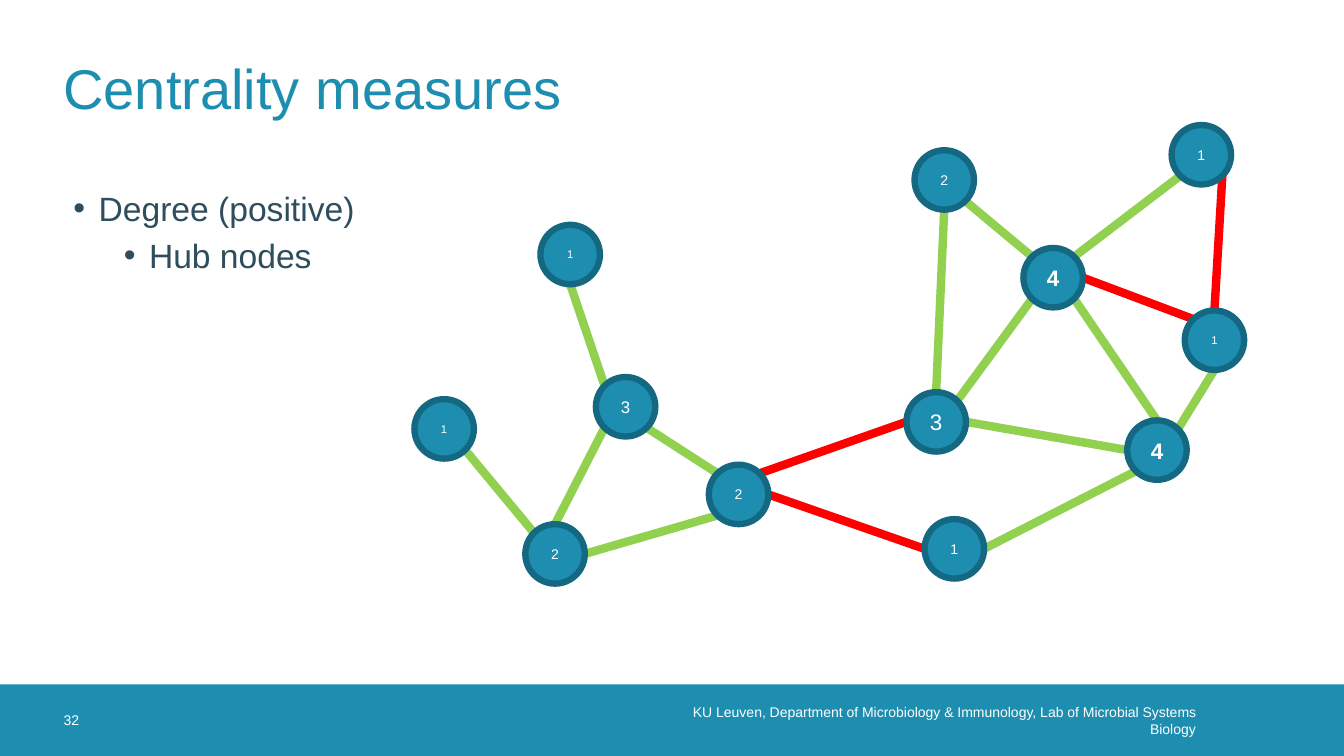
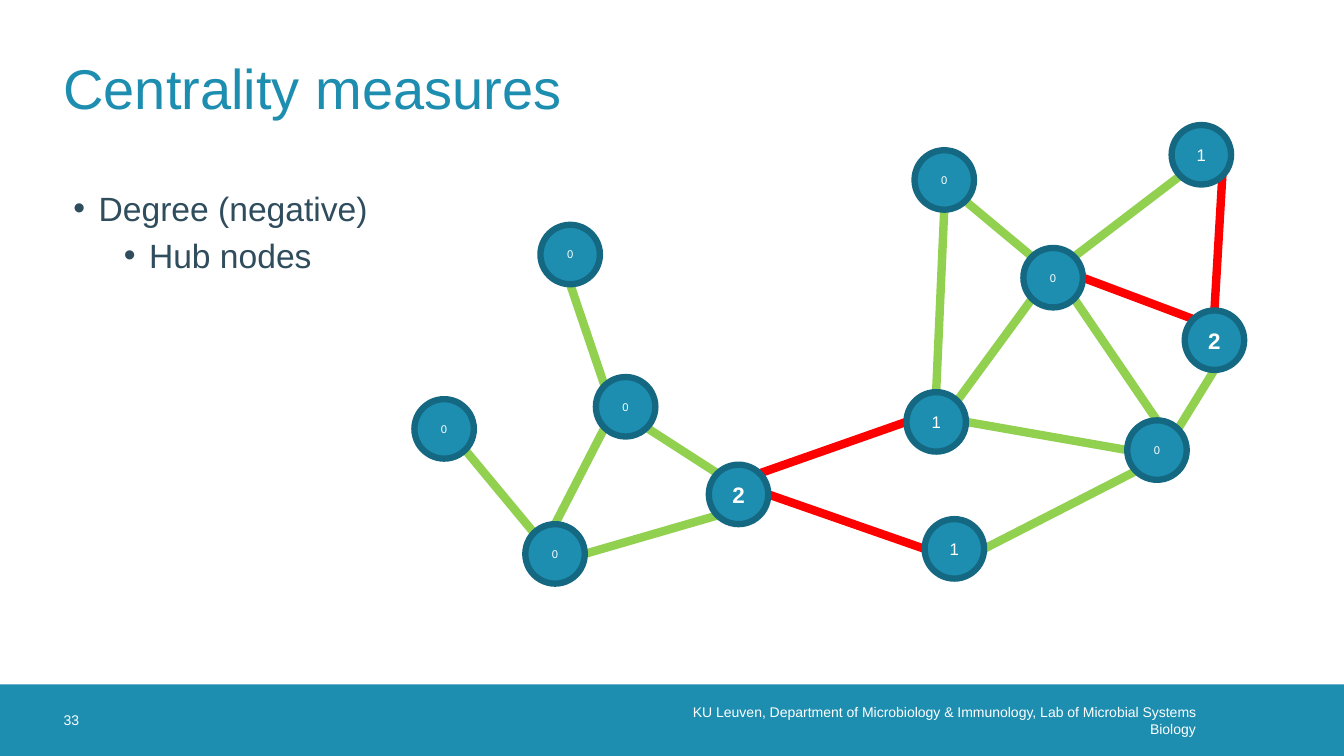
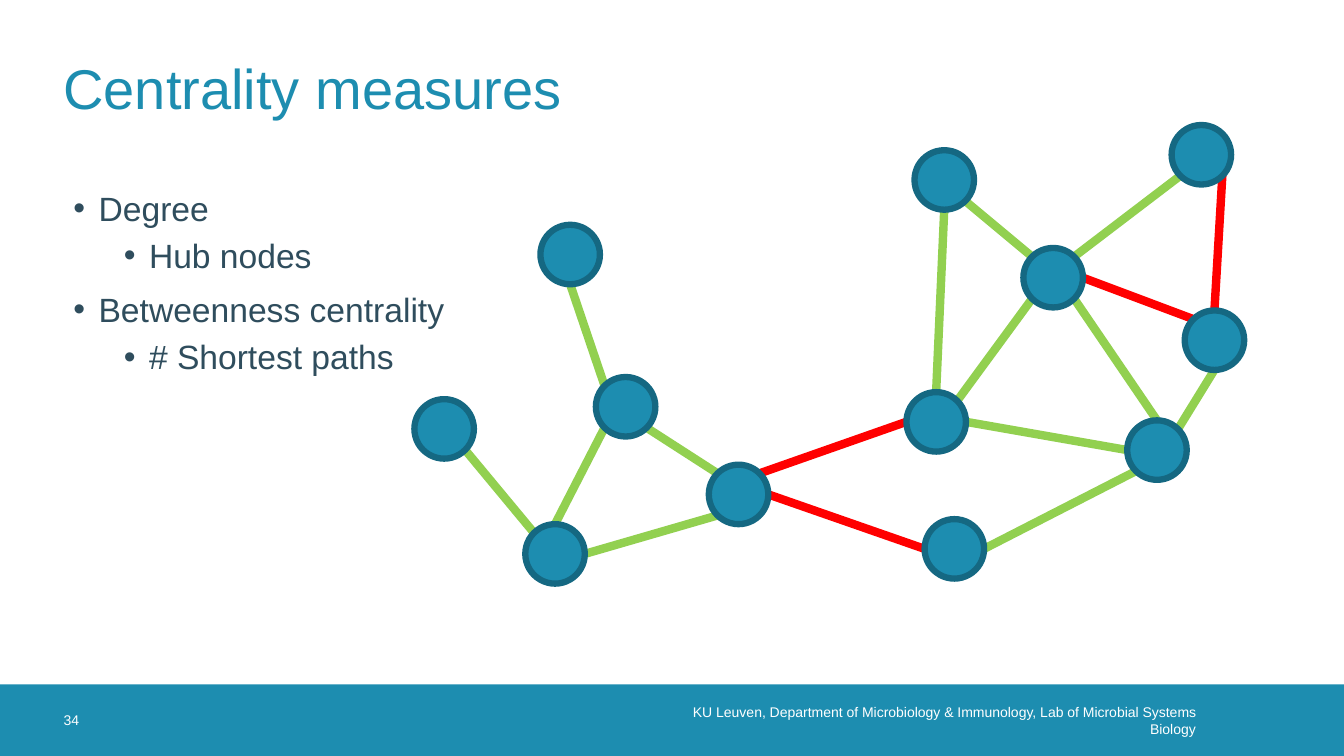
from math import cos, radians, sin

from lxml import etree
from pptx import Presentation
from pptx.dml.color import RGBColor
from pptx.enum.shapes import MSO_CONNECTOR, MSO_SHAPE
from pptx.enum.text import MSO_ANCHOR, PP_ALIGN
from pptx.oxml.ns import qn
from pptx.util import Inches, Pt

STRAIGHT = MSO_CONNECTOR.STRAIGHT
RECTANGLE, OVAL = MSO_SHAPE.RECTANGLE, MSO_SHAPE.OVAL
TOP, MIDDLE = MSO_ANCHOR.TOP, MSO_ANCHOR.MIDDLE
LEFT, CENTER, RIGHT = PP_ALIGN.LEFT, PP_ALIGN.CENTER, PP_ALIGN.RIGHT

# Shared style
FONT = "Arial"
TEAL, DARK_TEAL, SLATE, WHITE = "1D8DB0", "156882", "2F4D5D", "FFFFFF"
POSITIVE, NEGATIVE = "92D050", "FF0000"
SLIDE_W, SLIDE_H = 13.33, 7.5
MARGIN, CONTENT_W = 0.63, 12.07
BAND_TOP, BAND_H = 6.79, 0.71
TITLE = "Centrality measures"
FOOTER = ("KU Leuven, Department of Microbiology & Immunology, "
          "Lab of Microbial Systems Biology")

# Network: top-left corner of each node
NODE_SIZE = 0.59
NODES = {
    "far left": (4.11, 3.96),
    "low left": (5.21, 5.2),
    "right": (11.75, 3.08),
    "bridge": (7.03, 4.61),
    "upper left": (5.36, 2.23),
    "left hub": (5.91, 3.74),
    "bottom": (9.17, 5.15),
    "centre": (8.99, 3.89),
    "top": (9.07, 1.49),
    "upper hub": (10.15, 2.46),
    "lower hub": (11.18, 4.17),
    "top right": (11.62, 1.24),
}

# Compass points on a node's rim, in degrees clockwise from east
RIM = {side: 45 * step for step, side in
       enumerate(("E", "SE", "S", "SW", "W", "NW", "N", "NE"))}

EDGES = [
    ("upper hub", "SE", "lower hub", "N", POSITIVE),
    ("upper hub", "SW", "centre", "NE", POSITIVE),
    ("far left", "SE", "low left", "NW", POSITIVE),
    ("upper left", "S", "left hub", "NW", POSITIVE),
    ("left hub", "SW", "low left", "N", POSITIVE),
    ("left hub", "SE", "bridge", "NW", POSITIVE),
    ("bridge", "SW", "low left", "E", POSITIVE),
    ("bridge", "NE", "centre", "W", NEGATIVE),
    ("bridge", "E", "bottom", "W", NEGATIVE),
    ("centre", "N", "top", "S", POSITIVE),
    ("bottom", "E", "lower hub", "SW", POSITIVE),
    ("centre", "E", "lower hub", "W", POSITIVE),
    ("top", "SE", "upper hub", "NW", POSITIVE),
    ("right", "S", "lower hub", "NE", POSITIVE),
    ("upper hub", "E", "right", "NW", NEGATIVE),
    ("top right", "SE", "right", "N", NEGATIVE),
    ("top right", "SW", "upper hub", "NE", POSITIVE),
]

# Node labels: text, size, bold
HUB_4 = ("4", 16, True)
POSITIVE_DEGREES = {
    "far left": ("1", 8, False), "low left": ("2", 10, False),
    "right": ("1", 8, False), "bridge": ("2", 10, False),
    "upper left": ("1", 8, False), "left hub": ("3", 12, False),
    "bottom": ("1", 10, False), "centre": ("3", 16, False),
    "top": ("2", 10, False), "upper hub": HUB_4,
    "lower hub": HUB_4, "top right": ("1", 10, False),
}
NEGATIVE_DEGREES = {node: ("0", 8, False) for node in NODES}
NEGATIVE_DEGREES.update(dict.fromkeys(("bottom", "centre", "top right"),
                                      ("1", 12, False)))
NEGATIVE_DEGREES.update(dict.fromkeys(("right", "bridge"), ("2", 16, True)))

# Slides: page number, bullets as (level, text), node labels
SLIDES = [
    ("32", [(0, "Degree (positive)"), (1, "Hub nodes")], POSITIVE_DEGREES),
    ("33", [(0, "Degree (negative)"), (1, "Hub nodes")], NEGATIVE_DEGREES),
    ("34", [(0, "Degree"), (1, "Hub nodes"),
            (0, "Betweenness centrality"), (1, "# Shortest paths")], {}),
]


def rgb(color):
    return RGBColor.from_string(color)


def add_run(paragraph, text, size, color, bold=False):
    run = paragraph.add_run()
    run.text = text
    run.font.name = FONT
    run.font.size = Pt(size)
    run.font.bold = bold
    run.font.color.rgb = rgb(color)


def add_frame(slide, left, top, width, height, anchor):
    box = slide.shapes.add_textbox(Inches(left), Inches(top),
                                   Inches(width), Inches(height))
    frame = box.text_frame
    frame.word_wrap = True
    frame.vertical_anchor = anchor
    return frame


def add_line_of_text(slide, area, text, size, color, align=LEFT, right_inset=0):
    frame = add_frame(slide, *area, MIDDLE)
    frame.margin_left = frame.margin_top = frame.margin_bottom = 0
    frame.margin_right = Inches(right_inset)
    paragraph = frame.paragraphs[0]
    paragraph.alignment = align
    add_run(paragraph, text, size, color)


def add_bullets(slide, bullets):
    frame = add_frame(slide, MARGIN, 1.81, CONTENT_W, 4.88, TOP)
    for index, (level, text) in enumerate(bullets):
        paragraph = frame.add_paragraph() if index else frame.paragraphs[0]
        properties = paragraph._p.get_or_add_pPr()
        properties.set("marL", str(Inches(0.25 + 0.5 * level)))
        properties.set("indent", str(Inches(-0.25)))
        etree.SubElement(properties, qn("a:buFont")).set("typeface", FONT)
        etree.SubElement(properties, qn("a:buChar")).set("char", "•")
        paragraph.level = level
        if index:
            paragraph.space_before = Pt(5 if level else 10)
        add_run(paragraph, text, 24, SLATE)


def add_filled_shape(shapes, kind, left, top, width, height):
    shape = shapes.add_shape(kind, Inches(left), Inches(top),
                             Inches(width), Inches(height))
    shape.shadow.inherit = False
    shape.fill.solid()
    shape.fill.fore_color.rgb = rgb(TEAL)
    return shape


def rim_point(node, side):
    left, top = NODES[node]
    radius, angle = NODE_SIZE / 2, radians(RIM[side])
    return (Inches(left + radius + radius * cos(angle)),
            Inches(top + radius + radius * sin(angle)))


def add_edge(shapes, start, start_side, end, end_side, color):
    edge = shapes.add_connector(STRAIGHT, *rim_point(start, start_side),
                                *rim_point(end, end_side))
    edge.line.color.rgb = rgb(color)
    edge.line.width = Pt(6)
    etree.SubElement(edge._element.spPr, qn("a:effectLst"))


def add_node(shapes, position, label):
    node = add_filled_shape(shapes, OVAL, *position, NODE_SIZE, NODE_SIZE)
    node.line.color.rgb = rgb(DARK_TEAL)
    node.line.width = Pt(4.5)
    if label:
        node.text_frame.vertical_anchor = MIDDLE
        paragraph = node.text_frame.paragraphs[0]
        paragraph.alignment = CENTER
        text, size, bold = label
        add_run(paragraph, text, size, WHITE, bold)


def add_network(slide, labels):
    # The unlabelled network is one group
    shapes = slide.shapes if labels else slide.shapes.add_group_shape().shapes
    for edge in EDGES:
        add_edge(shapes, *edge)
    for node, position in NODES.items():
        add_node(shapes, position, labels.get(node))


def add_band(slide):
    band = add_filled_shape(slide.shapes, RECTANGLE,
                            0, BAND_TOP, SLIDE_W, BAND_H)
    band.line.fill.background()


def add_footer(slide, number):
    add_line_of_text(slide, (6.6, BAND_TOP, 5.46, BAND_H), FOOTER,
                     10, WHITE, RIGHT, 0.2)
    add_line_of_text(slide, (MARGIN, BAND_TOP, 0.71, BAND_H), number, 10, WHITE)


def main():
    deck = Presentation()
    deck.slide_width, deck.slide_height = Inches(SLIDE_W), Inches(SLIDE_H)
    blank = deck.slide_layouts[6]
    for number, bullets, labels in SLIDES:
        slide = deck.slides.add_slide(blank)
        add_band(slide)
        add_bullets(slide, bullets)
        add_footer(slide, number)
        add_line_of_text(slide, (MARGIN, 0.23, CONTENT_W, 1.26), TITLE, 40, TEAL)
        add_network(slide, labels)
    deck.save("out.pptx")


if __name__ == "__main__":
    main()
